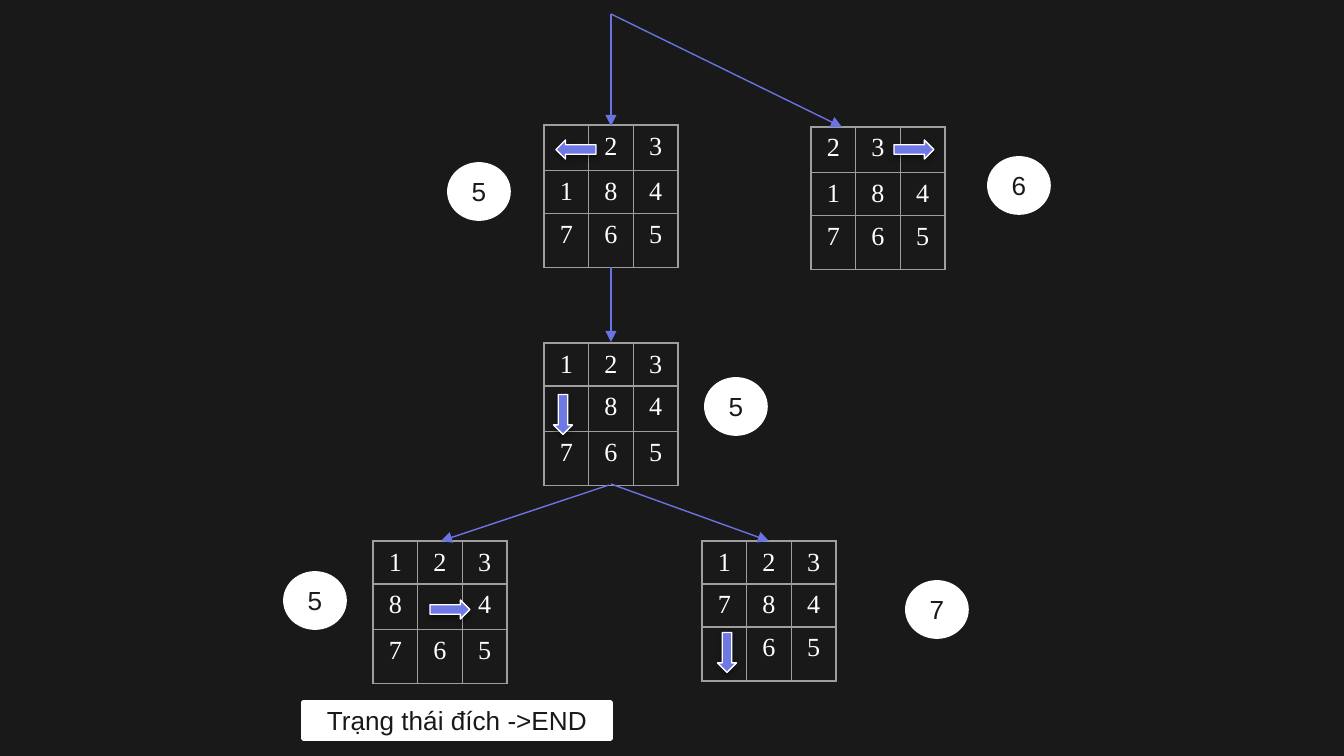
from lxml.etree import SubElement
from pptx import Presentation
from pptx.dml.color import RGBColor
from pptx.enum.shapes import MSO_CONNECTOR, MSO_SHAPE
from pptx.enum.text import MSO_ANCHOR, PP_ALIGN
from pptx.oxml.ns import qn
from pptx.util import Pt

EMU_PER_PX = 6804
COLORS = {
    "bg": "191919",
    "white": "FFFFFF",
    "grid": "9E9E9E",
    "link": "6974E2",
    "arrow": "6E79E4",
    "shadow": "000000",
}
ROW_HEIGHTS = (43, 43, 54)
BOARD_W = 134
ANGLES = {"right": 0, "down": 90, "left": 180}

BOARDS = [
    (811, 127, ("23 ", "184", "765")),
    (544, 125, (" 23", "184", "765")),
    (544, 343, ("123", " 84", "765")),
    (373, 541, ("123", "8 4", "765")),
    (702, 541, ("123", "784", " 65")),
]
LINKS = [
    (611, 14, 611, 126),
    (611, 14, 842, 127),
    (611, 267, 611, 342),
    (609, 485, 441, 541),
    (611, 484, 769, 541),
]
MOVES = [
    (576, 149, "left"),
    (914, 149, "right"),
    (563, 414, "down"),
    (727, 652, "down"),
    (450, 609, "right"),
]
COSTS = [
    (448, 163, "5"),
    (988, 157, "6"),
    (705, 378, "5"),
    (284, 572, "5"),
    (906, 581, "7"),
]


def px(n):
    return n * EMU_PER_PX


def rgb(name):
    return RGBColor.from_string(COLORS[name])


def add_text(tf, text, font, color):
    p = tf.paragraphs[0]
    p.alignment = PP_ALIGN.CENTER
    r = p.add_run()
    r.text = text
    r.font.size = Pt(14)
    r.font.name = font
    r.font.color.rgb = rgb(color)


def add_borders(cell):
    tcPr = cell._tc.get_or_add_tcPr()
    for side in ("lnL", "lnR", "lnT", "lnB"):
        ln = SubElement(tcPr, qn(f"a:{side}"), w=str(Pt(0.75)))
        fill = SubElement(ln, qn("a:solidFill"))
        SubElement(fill, qn("a:srgbClr"), val=COLORS["grid"])


def add_board(s, x, y, rows):
    frame = s.shapes.add_table(3, 3, px(x), px(y), px(BOARD_W), px(sum(ROW_HEIGHTS)))
    table = frame.table
    table.first_row = table.horz_banding = False
    for i, tiles in enumerate(rows):
        table.rows[i].height = px(ROW_HEIGHTS[i])
        for j, tile in enumerate(tiles):
            cell = table.cell(i, j)
            add_borders(cell)
            cell.fill.background()
            if tile == " ":
                p = cell.text_frame.paragraphs[0]
                SubElement(p._p, qn("a:endParaRPr"), sz="1400")
            else:
                add_text(cell.text_frame, tile, "Times New Roman", "white")


def add_link(s, x1, y1, x2, y2):
    c = s.shapes.add_connector(MSO_CONNECTOR.STRAIGHT, px(x1), px(y1), px(x2), px(y2))
    c.line.color.rgb = rgb("link")
    c.line.width = Pt(0.75)
    SubElement(c.line._get_or_add_ln(), qn("a:tailEnd"), type="triangle")
    SubElement(c._element.spPr, qn("a:effectLst"))


def add_shape(s, kind, x, y, w, h, fill, line_width):
    sp = s.shapes.add_shape(kind, px(x), px(y), px(w), px(h))
    sp.shadow.inherit = False
    sp.fill.solid()
    sp.fill.fore_color.rgb = rgb(fill)
    sp.line.color.rgb = rgb("white")
    sp.line.width = Pt(line_width)
    return sp


def add_move(s, cx, cy, direction):
    w, h = 40, 19
    sp = add_shape(s, MSO_SHAPE.RIGHT_ARROW, cx - w // 2, cy - h // 2, w, h, "arrow", 0.75)
    sp.rotation = ANGLES[direction]
    effects = sp._element.spPr.find(qn("a:effectLst"))
    shadow = SubElement(effects, qn("a:outerShdw"), blurRad=str(Pt(3.1)),
                        dist=str(Pt(1.6)), dir="5400000", rotWithShape="0")
    color = SubElement(shadow, qn("a:srgbClr"), val=COLORS["shadow"])
    SubElement(color, qn("a:alpha"), val="38000")


def add_label(s, kind, x, y, w, h, text):
    sp = add_shape(s, kind, x, y, w, h, "white", 2)
    tf = sp.text_frame
    tf.word_wrap = True
    tf.vertical_anchor = MSO_ANCHOR.MIDDLE
    add_text(tf, text, "Arial", "bg")


def main():
    prs = Presentation()
    prs.slide_width, prs.slide_height = px(1344), px(756)
    s = prs.slides.add_slide(prs.slide_layouts[6])
    s.background.fill.solid()
    s.background.fill.fore_color.rgb = rgb("bg")
    for board in BOARDS:
        add_board(s, *board)
    for link in LINKS:
        add_link(s, *link)
    for move in MOVES:
        add_move(s, *move)
    add_label(s, MSO_SHAPE.RECTANGLE, 303, 702, 308, 37, "Trạng thái đích ->END")
    for x, y, cost in COSTS:
        add_label(s, MSO_SHAPE.OVAL, x + 1, y + 1, 60, 55, cost)
    prs.save("out.pptx")


if __name__ == "__main__":
    main()
